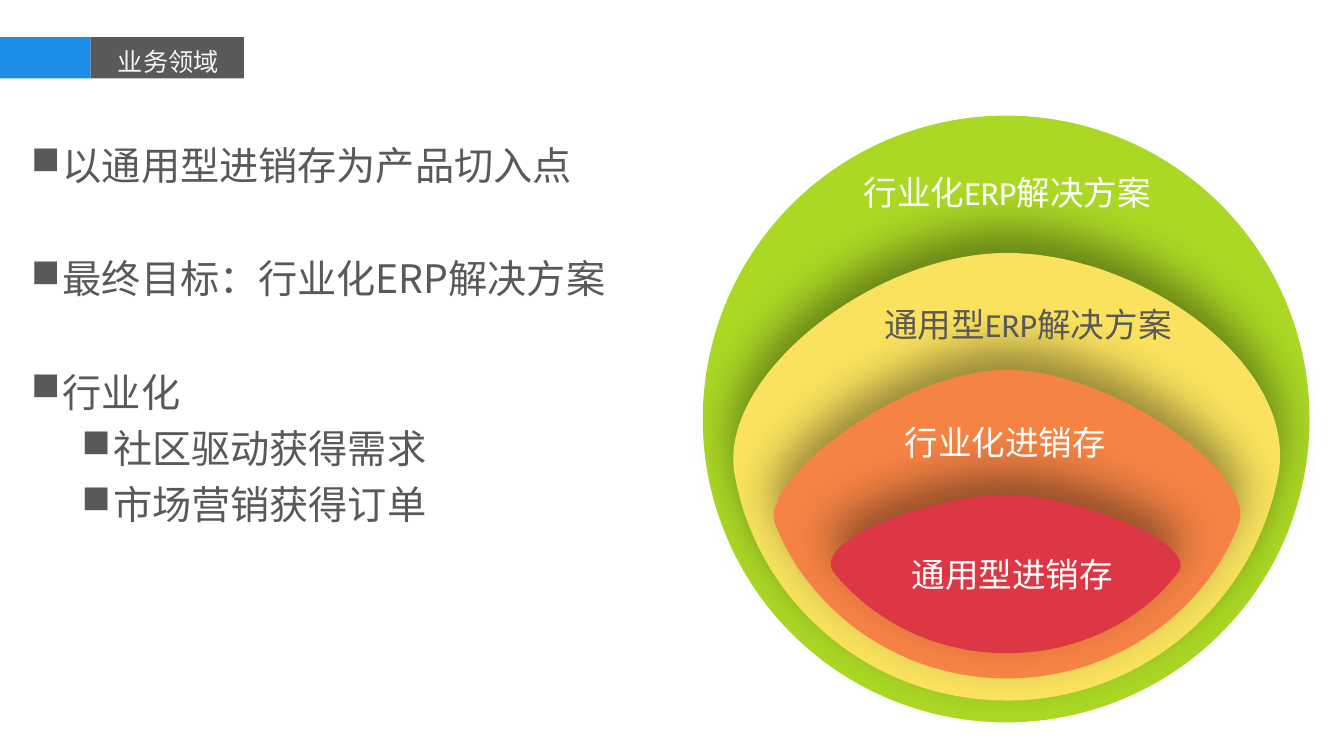
from typing import NamedTuple

from lxml import etree
from pptx import Presentation
from pptx import util as u
from pptx.dml.color import RGBColor
from pptx.enum import lang, shapes, text
from pptx.oxml import ns

BLUE = RGBColor(0x1D, 0x8D, 0xE5)
GRAY = RGBColor(0x59, 0x59, 0x59)
PALE = RGBColor(0xF6, 0xF5, 0xF5)
WHITE = RGBColor(0xFF, 0xFF, 0xFF)
GREEN = RGBColor(0xAA, 0xD8, 0x25)
YELLOW = RGBColor(0xFA, 0xE2, 0x5E)
ORANGE = RGBColor(0xF5, 0x83, 0x44)
RED = RGBColor(0xDD, 0x36, 0x45)
LATIN, HAN = "Calibri", "Noto Sans CJK SC"


class Box(NamedTuple):
    """Left, top, width and height in points."""
    left: float
    top: float
    width: float
    height: float


class Plain(NamedTuple):
    """A filled preset shape."""
    kind: shapes.MSO_SHAPE
    box: Box
    color: RGBColor


class Layer(NamedTuple):
    """A curved layer: start point, then cubic curves."""
    color: RGBColor
    start: tuple
    curves: list


class Label(NamedTuple):
    """A caption on a layer."""
    words: str
    box: Box
    color: RGBColor


class Item(NamedTuple):
    """A list entry with its level and the gap above it."""
    words: str
    level: int = 0
    gap: float = 0


BARS = [
    Plain(shapes.MSO_SHAPE.RECTANGLE, Box(0, 26.6, 64.8, 29.5), BLUE),
    Plain(shapes.MSO_SHAPE.RECTANGLE, Box(64.8, 26.6, 109.4, 29.5), GRAY),
]
DISC = Plain(shapes.MSO_SHAPE.OVAL, Box(502, 82.6, 433.4, 433.4), GREEN)
LAYERS = [
    Layer(YELLOW, (524.9, 339.8), [
        ((541.4, 431.3), (622.8, 500.4), (719.3, 500.4)),
        ((815, 500.4), (895.7, 431.3), (913, 339.8)),
        ((928.1, 260.6), (815, 180.7), (719.3, 180.7)),
        ((622.8, 180.7), (511.2, 270), (524.9, 339.8))]),
    Layer(ORANGE, (553.7, 374.4), [
        ((579.6, 439.2), (644.4, 484.6), (719.3, 484.6)),
        ((793.4, 484.6), (859.7, 439.9), (884.9, 374.4)),
        ((898.6, 338.4), (793.4, 264.2), (719.3, 264.2)),
        ((644.4, 264.2), (541.4, 343.4), (553.7, 374.4))]),
    Layer(RED, (719.3, 466.6), [
        ((767.5, 466.6), (812.9, 445.7), (841, 409.7)),
        ((859, 388.1), (767.5, 353.5), (719.3, 353.5)),
        ((669.6, 353.5), (576, 385.9), (596.2, 409.7)),
        ((625.7, 445), (669.6, 466.6), (719.3, 466.6))]),
]
LABELS = [
    Label("行业化ERP解决方案", Box(609.8, 119.5, 221.8, 36), WHITE),
    Label("通用型进销存", Box(644, 392, 159.8, 36), WHITE),
    Label("行业化进销存", Box(639, 298.1, 159.8, 36), WHITE),
    Label("通用型ERP解决方案", Box(624.6, 213.8, 221.8, 36), GRAY),
]
ITEMS = [
    Item("以通用型进销存为产品切入点"),
    Item("最终目标：行业化ERP解决方案", gap=40.5),
    Item("行业化", gap=40.5),
    Item("社区驱动获得需求", 1),
    Item("市场营销获得订单", 1),
]
FRAME = dict(word_wrap=True, auto_size=text.MSO_AUTO_SIZE.NONE,
             vertical_anchor=text.MSO_ANCHOR.TOP,
             margin_left=u.Pt(7.2), margin_right=u.Pt(7.2),
             margin_top=u.Pt(3.6), margin_bottom=u.Pt(3.6))


def apply(target: object, values: dict) -> None:
    """Set every attribute named in values."""
    for name, value in values.items():
        setattr(target, name, value)


def node(parent, tag: str, **attrs: str):
    """Append a DrawingML element."""
    return etree.SubElement(parent, ns.qn(tag), attrs)


def place(shape, box: Box) -> None:
    """Move and size a shape."""
    apply(shape, {k: u.Pt(v) for k, v in box._asdict().items()})


def paint(shape, color: RGBColor) -> None:
    """Give a shape a flat fill without line or shadow."""
    shape.shadow.inherit = False
    shape.fill.solid()
    shape.fill.fore_color.rgb = color
    shape.line.fill.background()


def write(para, words: str, size: float, face: str, color: RGBColor) -> None:
    """Put one styled run into a paragraph."""
    run = para.add_run()
    run.text = words
    apply(run.font, dict(size=u.Pt(size), name=face, bold=False,
                         language_id=lang.MSO_LANGUAGE_ID.SIMPLIFIED_CHINESE))
    run.font.color.rgb = color
    node(run.font._element, "a:ea", typeface=HAN)
    apply(para, dict(alignment=text.PP_ALIGN.LEFT, space_before=u.Pt(0)))


def draw_plain(slide, plain: Plain) -> None:
    """Draw a preset shape."""
    box = [u.Pt(v) for v in plain.box]
    paint(slide.shapes.add_shape(plain.kind, *box), plain.color)


def bend(shape) -> None:
    """Turn each three straight segments into one cubic curve."""
    lines = list(shape.element.iter(ns.qn("a:lnTo")))
    for i in range(0, len(lines), 3):
        curve = etree.Element(ns.qn("a:cubicBezTo"))
        lines[i].addprevious(curve)
        for line in lines[i:i + 3]:
            curve.append(line[0])
            line.getparent().remove(line)


def draw_layer(slide, layer: Layer) -> None:
    """Draw a curved layer with a soft shadow cast upwards."""
    x, y = layer.start
    pen = slide.shapes.build_freeform(u.Pt(x), u.Pt(y))
    spots = [(u.Pt(a), u.Pt(b)) for curve in layer.curves for a, b in curve]
    pen.add_line_segments(spots, close=True)
    shape = pen.convert_to_shape()
    bend(shape)
    paint(shape, layer.color)
    effect = shape.element.spPr.find(ns.qn("a:effectLst"))
    cast = node(effect, "a:outerShdw", blurRad=str(u.Pt(32)),
                dist=str(u.Pt(17)), dir="16200000", algn="ctr", rotWithShape="0")
    node(node(cast, "a:srgbClr", val="000000"), "a:alpha", val="40000")


def draw_label(slide, label: Label) -> None:
    """Draw a caption."""
    shape = slide.shapes.add_textbox(*[u.Pt(v) for v in label.box])
    apply(shape.text_frame, FRAME)
    write(shape.text_frame.paragraphs[0], label.words, 24, LATIN, label.color)


def fill_title(slide) -> None:
    """Set the title in front of the bars."""
    title = slide.shapes.title
    place(title, Box(77, 29.5, 87.1, 28.8))
    apply(title.text_frame, FRAME)
    write(title.text_frame.paragraphs[0], "业务领域", 18, LATIN, PALE)
    slide.shapes.element.append(title.element)


def fill_list(slide) -> None:
    """Fill the body with square-bulleted items, in front of the rest."""
    body = slide.placeholders[1]
    place(body, Box(15.1, 90.7, 435.6, 292.3))
    frame = body.text_frame
    apply(frame, FRAME)
    for i, item in enumerate(ITEMS):
        para = frame.add_paragraph() if i else frame.paragraphs[0]
        write(para, item.words, 28, HAN, GRAY)
        apply(para, dict(level=item.level, line_spacing=1.2,
                         space_before=u.Pt(item.gap), space_after=u.Pt(0)))
        props = para._p.get_or_add_pPr()
        props.set("marL", str(u.Pt(22.5 + 36 * item.level)))
        props.set("indent", str(u.Pt(-22.5)))
        node(props, "a:buFont", typeface="Wingdings", charset="2")
        node(props, "a:buChar", char="n")
    slide.shapes.element.append(body.element)


deck = Presentation()
apply(deck, dict(slide_width=u.Pt(960), slide_height=u.Pt(540)))
page = deck.slides.add_slide(deck.slide_layouts[1])
for bar in BARS:
    draw_plain(page, bar)
fill_title(page)
draw_plain(page, DISC)
for layer in LAYERS:
    draw_layer(page, layer)
for label in LABELS:
    draw_label(page, label)
fill_list(page)
deck.save("out.pptx")
